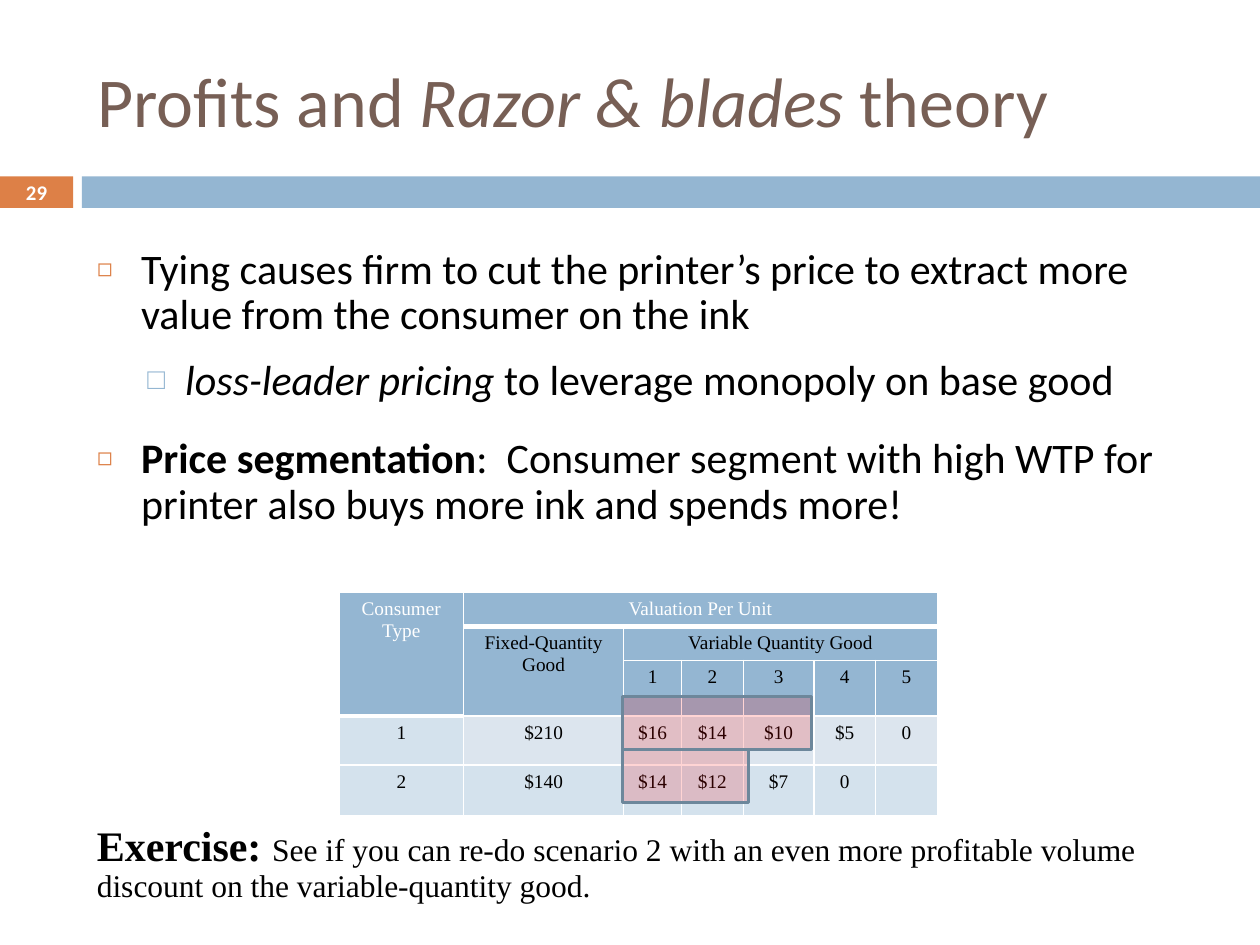
from lxml import etree
from pptx import Presentation
from pptx.dml.color import RGBColor
from pptx.enum.shapes import MSO_SHAPE
from pptx.enum.text import MSO_ANCHOR, MSO_AUTO_SIZE, PP_ALIGN
from pptx.oxml.ns import qn
from pptx.util import Inches, Pt

RECTANGLE = MSO_SHAPE.RECTANGLE
TOP, MIDDLE = MSO_ANCHOR.TOP, MSO_ANCHOR.MIDDLE
NO_AUTO_SIZE = MSO_AUTO_SIZE.NONE
LEFT, CENTER = PP_ALIGN.LEFT, PP_ALIGN.CENTER

ORANGE = RGBColor(0xDD, 0x80, 0x47)
BLUE = RGBColor(0x94, 0xB6, 0xD2)
BROWN = RGBColor(0x77, 0x5F, 0x55)
BLACK = RGBColor(0, 0, 0)
WHITE = RGBColor(0xFF, 0xFF, 0xFF)
RED = RGBColor(0xFF, 0, 0)
SLATE = RGBColor(0x6D, 0x87, 0x9B)
LIGHT_BLUE = RGBColor(0xD4, 0xE2, 0xED)
PALE_BLUE = RGBColor(0xDC, 0xE5, 0xEE)

SANS = "Calibri"
SERIF = "Times New Roman"

COLUMN_WIDTHS = [0.99, 1.27, 0.46, 0.49, 0.56, 0.49, 0.49]
ROW_HEIGHTS = [0.24, 0.24, 0.24, 0.39, 0.39]
VALUATIONS = [
    ["Consumer\nType", "Valuation Per Unit", "", "", "", "", ""],
    ["", "Fixed-Quantity\nGood", "Variable Quantity Good", "", "", "", ""],
    ["", "", "1", "2", "3", "4", "5"],
    ["1", "$210", "$16", "$14", "$10", "$5", "0"],
    ["2", "$140", "$14", "$12", "$7", "0", ""],
]
MERGES = [((0, 0), (2, 0)), ((0, 1), (0, 6)), ((1, 1), (2, 1)), ((1, 2), (1, 6))]


def add_run(paragraph, text, size=24, color=BLACK, font=SANS, bold=False, italic=False):
    run = paragraph.add_run()
    run.text = text
    run.font.size = Pt(size)
    run.font.name = font
    run.font.color.rgb = color
    run.font.bold = bold
    run.font.italic = italic


def place(shape, left, top, width, height):
    shape.left, shape.top = Inches(left), Inches(top)
    shape.width, shape.height = Inches(width), Inches(height)


def prepare_frame(shape, anchor):
    frame = shape.text_frame
    frame.word_wrap = True
    frame.auto_size = NO_AUTO_SIZE
    frame.vertical_anchor = anchor
    return frame


def add_text_box(slide, left, top, width, height, anchor):
    box = slide.shapes.add_textbox(Inches(left), Inches(top), Inches(width), Inches(height))
    return prepare_frame(box, anchor)


def add_rectangle(slide, left, top, width, height, fill, line=None, alpha=None):
    shape = slide.shapes.add_shape(
        RECTANGLE, Inches(left), Inches(top), Inches(width), Inches(height))
    shape.shadow.inherit = False
    shape.fill.solid()
    shape.fill.fore_color.rgb = fill
    if alpha is not None:
        color = shape.element.spPr.find(qn("a:solidFill")).find(qn("a:srgbClr"))
        etree.SubElement(color, qn("a:alpha"), val=str(alpha * 1000))
    if line is None:
        shape.line.fill.background()
    else:
        shape.line.color.rgb = line
        shape.line.width = Pt(1.5)


def set_bullet(paragraph, character, color, percent, margin, indent):
    properties = paragraph._p.get_or_add_pPr()
    properties.set("marL", str(Inches(margin)))
    properties.set("indent", str(Inches(indent)))
    bullet_color = etree.SubElement(properties, qn("a:buClr"))
    etree.SubElement(bullet_color, qn("a:srgbClr"), val=str(color))
    etree.SubElement(properties, qn("a:buSzPct"), val=str(percent * 1000))
    etree.SubElement(properties, qn("a:buChar"), char=character)


def add_bullet(frame, first, level, runs, before, after):
    paragraph = frame.paragraphs[0] if first else frame.add_paragraph()
    paragraph.level = level
    if level == 0:
        set_bullet(paragraph, "◻", ORANGE, 60, 0.35, -0.35)
    else:
        set_bullet(paragraph, "□", BLUE, 70, 0.7, -0.3)
    paragraph.line_spacing = 0.9
    paragraph.space_before = Pt(before)
    paragraph.space_after = Pt(after)
    for text, style in runs:
        add_run(paragraph, text, **style)


def set_borders(cell, bottom_width):
    properties = cell._tc.get_or_add_tcPr()
    for side, width in (("lnL", 1), ("lnR", 1), ("lnT", 1), ("lnB", bottom_width)):
        border = etree.SubElement(properties, qn(f"a:{side}"), w=str(Pt(width)))
        fill = etree.SubElement(border, qn("a:solidFill"))
        etree.SubElement(fill, qn("a:srgbClr"), val=str(WHITE))


def cell_fill(row, column):
    if row < 3:
        return BLUE
    return PALE_BLUE if row == 3 and column > 0 else LIGHT_BLUE


def add_valuation_table(slide):
    table = slide.shapes.add_table(
        len(ROW_HEIGHTS), len(COLUMN_WIDTHS), Inches(2.69), Inches(4.7),
        Inches(sum(COLUMN_WIDTHS)), Inches(sum(ROW_HEIGHTS))).table
    for column, width in zip(table.columns, COLUMN_WIDTHS):
        column.width = Inches(width)
    for row, height in zip(table.rows, ROW_HEIGHTS):
        row.height = Inches(height)
    for start, end in MERGES:
        table.cell(*start).merge(table.cell(*end))
    for row, values in enumerate(VALUATIONS):
        for column, value in enumerate(values):
            cell = table.cell(row, column)
            set_borders(cell, 3 if row == 0 else 1)
            cell.fill.solid()
            cell.fill.fore_color.rgb = cell_fill(row, column)
            if not value:
                continue
            for index, line in enumerate(value.split("\n")):
                frame = cell.text_frame
                paragraph = frame.add_paragraph() if index else frame.paragraphs[0]
                paragraph.alignment = CENTER
                add_run(paragraph, line, size=11, font=SERIF,
                        color=WHITE if row == 0 else BLACK)


def add_title(slide):
    title = slide.shapes.title
    place(title, 0.67, 0.25, 8.92, 1.08)
    paragraph = prepare_frame(title, MIDDLE).paragraphs[0]
    paragraph.alignment = LEFT
    for text, italic in (("Profits and ", False), ("Razor & blades", True), (" theory", False)):
        add_run(paragraph, text, size=40, color=BROWN, italic=italic)


def add_body(slide):
    body = slide.placeholders[1]
    place(body, 0.67, 1.92, 8.92, 4.75)
    frame = prepare_frame(body, TOP)
    add_bullet(frame, True, 0, [
        ("Tying causes firm to cut the printer’s price to extract more value "
         "from the consumer on the ink", {})], 0, 6)
    add_bullet(frame, False, 1, [
        ("loss-leader pricing", {"italic": True}),
        (" to leverage monopoly on base good", {})], 5.5, 12)
    add_bullet(frame, False, 0, [
        ("Price segmentation", {"bold": True}),
        (":  Consumer segment with high WTP for printer also buys more ink "
         "and spends more!", {})], 7, 12)


def add_slide_number(slide):
    paragraph = add_text_box(slide, 0, 1.39, 0.58, 0.27, MIDDLE).paragraphs[0]
    paragraph.alignment = CENTER
    add_run(paragraph, "29", size=11.9, color=WHITE, bold=True)


def add_exercise(slide):
    paragraph = add_text_box(slide, 0.67, 6.5, 8.9, 0.74, TOP).paragraphs[0]
    paragraph.line_spacing = 0.9
    paragraph.space_after = Pt(12)
    add_run(paragraph, "Exercise: ", font=SERIF, bold=True)
    add_run(paragraph, "See if you can re-do scenario 2 with an even more profitable "
            "volume discount on the variable-quantity good.", size=18, font=SERIF)


def main():
    presentation = Presentation()
    presentation.slide_width, presentation.slide_height = Inches(10), Inches(7.5)
    slide = presentation.slides.add_slide(presentation.slide_layouts[1])
    add_rectangle(slide, 0, 1.4, 0.58, 0.25, ORANGE)
    add_rectangle(slide, 0.65, 1.4, 9.35, 0.25, BLUE)
    add_title(slide)
    add_body(slide)
    add_slide_number(slide)
    add_valuation_table(slide)
    for top, width in ((5.53, 1.5), (5.95, 1)):
        add_rectangle(slide, 4.94, top, width, 0.42, RED, line=SLATE, alpha=17)
    add_exercise(slide)
    presentation.save("out.pptx")


if __name__ == "__main__":
    main()
